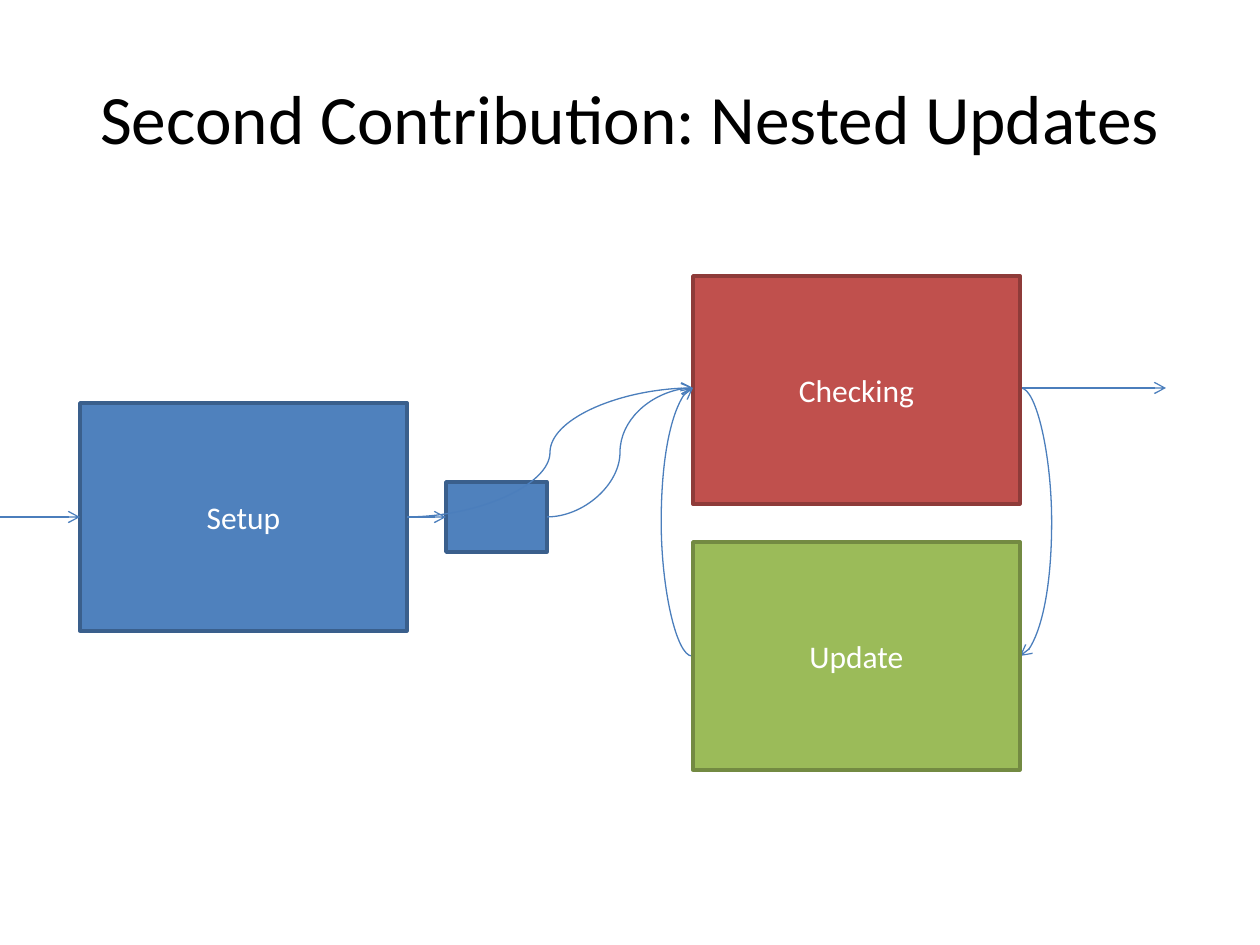
from lxml import etree
from pptx import Presentation
from pptx.dml.color import RGBColor
from pptx.enum.shapes import MSO_CONNECTOR, MSO_SHAPE
from pptx.enum.text import MSO_ANCHOR, PP_ALIGN
from pptx.oxml.ns import qn
from pptx.util import Emu, Pt

STRAIGHT, CURVE = MSO_CONNECTOR.STRAIGHT, MSO_CONNECTOR.CURVE
RECT = MSO_SHAPE.RECTANGLE
MIDDLE, CENTER = MSO_ANCHOR.MIDDLE, PP_ALIGN.CENTER

PX_PER_INCH = 126
COLORS = {
    "black": "000000", "white": "FFFFFF", "arrow": "4B7EBC",
    "blue": "4F81BD", "blue_edge": "3A5F8C",
    "red": "C0504D", "red_edge": "8E3B39",
    "green": "9BBB59", "green_edge": "738A42",
}


def px(n):
    return Emu(round(n * 914400 / PX_PER_INCH))


def rgb(name):
    return RGBColor.from_string(COLORS[name])


class Deck:
    font = "Calibri"

    def __init__(self, w, h):
        self.prs = Presentation()
        self.prs.slide_width, self.prs.slide_height = px(w), px(h)
        self.s = self.prs.slides.add_slide(self.prs.slide_layouts[6])

    def set_text(self, sp, text, size, color):
        tf = sp.text_frame
        tf.word_wrap = True
        tf.vertical_anchor = MIDDLE
        p = tf.paragraphs[0]
        p.text = text
        p.alignment = CENTER
        p.font.name, p.font.size = self.font, Pt(size)
        p.font.color.rgb = rgb(color)

    def title(self, text, x, y, w, h):
        sp = self.s.shapes.add_textbox(px(x), px(y), px(w), px(h))
        self.set_text(sp, text, 39.6, "black")

    def box(self, x, y, w, h, color, text=None):
        sp = self.s.shapes.add_shape(RECT, px(x), px(y), px(w), px(h))
        sp.shadow.inherit = False
        sp.fill.solid()
        sp.fill.fore_color.rgb = rgb(color)
        sp.line.color.rgb = rgb(color + "_edge")
        sp.line.width = Pt(2)
        if text:
            self.set_text(sp, text, 18, "white")

    def arrow(self, start, end, kind=STRAIGHT, bend=None):
        """Draw an arrow; bend places a curve's middle as a multiple of its width."""
        c = self.s.shapes.add_connector(kind, *map(px, start + end))
        c.line.color.rgb = rgb("arrow")
        c.line.width = Pt(0.75)
        sp_pr = c.element.spPr
        etree.SubElement(sp_pr.find(qn("a:ln")), qn("a:tailEnd"), type="arrow")
        etree.SubElement(sp_pr, qn("a:effectLst"))
        if bend is not None:
            guides = sp_pr.find(qn("a:prstGeom")).find(qn("a:avLst"))
            etree.SubElement(guides, qn("a:gd"), name="adj1",
                             fmla=f"val {round(bend * 100000)}")


def main():
    deck = Deck(1260, 945)
    deck.title("Second Contribution: Nested Updates", 63, 38, 1134, 157)

    box_w, box_h = 327, 228
    left, right = 693, 1020
    setup_y, check_y, update_y = 517, 388, 656
    setup_right, step_left, step_right = 407, 446, 547
    loop = -31

    deck.box(80, 403, box_w, box_h, "blue", "Setup")
    deck.arrow((0, setup_y), (80, setup_y))
    deck.arrow((right + 1, check_y), (right, update_y), CURVE, loop)
    deck.arrow((right, check_y), (1166, check_y))
    deck.box(step_left, 482, step_right - step_left, 70, "blue")
    deck.arrow((step_right, setup_y), (left, check_y), CURVE)
    deck.arrow((setup_right, setup_y), (step_left, setup_y))
    deck.box(left, 276, box_w, box_h, "red", "Checking")
    deck.arrow((left - 1, update_y), (left, check_y), CURVE, loop)
    deck.arrow((setup_right, setup_y), (left, check_y), CURVE)
    deck.box(left, 542, box_w, box_h, "green", "Update")

    deck.prs.save("out.pptx")


if __name__ == "__main__":
    main()
